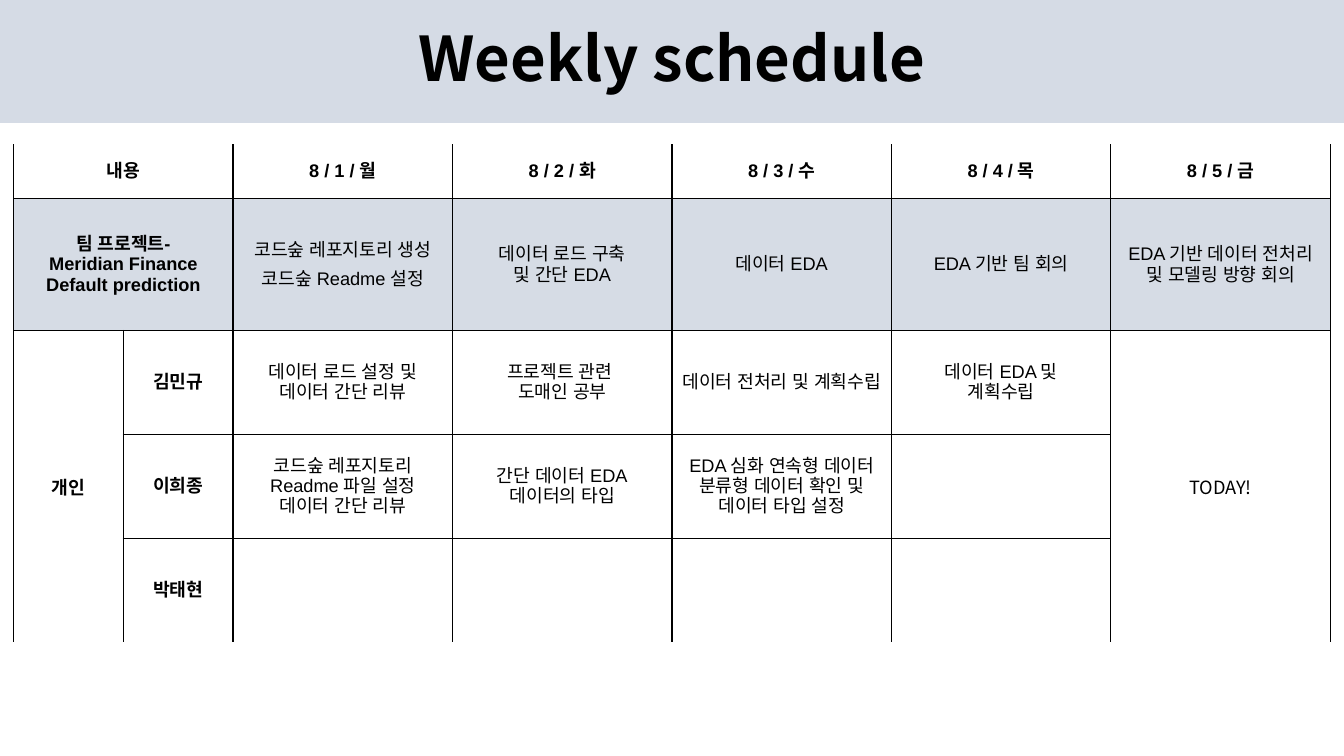
"""Build a weekly schedule slide with a title band and a task table."""
import dataclasses
import typing

import lxml.etree
import pptx
import pptx.dml.color
import pptx.enum.shapes
import pptx.enum.text
import pptx.oxml.ns
import pptx.util

Inches = pptx.util.Inches
RGBColor = pptx.dml.color.RGBColor
qn = pptx.oxml.ns.qn


@dataclasses.dataclass(frozen=True)
class Theme:
    latin: str = "Arial"
    korean: str = "Noto Sans CJK KR"
    ink: str = "000000"
    paper: str = "FFFFFF"
    title_band: str = "D5DBE5"
    team_band: str = "D6DCE5"
    title_size: int = 44
    body_size: int = 13
    border_width: int = 1
    second_line_gap: int = 6


THEME = Theme()


@dataclasses.dataclass(frozen=True)
class Entry:
    row: int
    column: int
    paragraphs: tuple[str, ...]
    bold: bool = False
    font: str = THEME.latin
    rows: int = 1
    columns: int = 1
    gap: int = 0


SLIDE_WIDTH = 13.33
TABLE_WIDTH = 13.06
DAY_WIDTH = TABLE_WIDTH / 6
COLUMN_WIDTHS = [DAY_WIDTH / 2] * 2 + [DAY_WIDTH] * 5
ROW_HEIGHTS = [0.54, 1.31] + [1.03] * 3
TEAM_ROW = 1
DAYS = "월화수목금"
MEMBERS = ("김민규", "이희종", "박태현")

ENTRIES = [
    Entry(0, 0, ("내용",), True, columns=2),
    *(Entry(0, 2 + index, (f"8 / {index + 1} / {day}",), True) for index, day in enumerate(DAYS)),
    Entry(1, 0, ("팀 프로젝트-", "Meridian Finance\vDefault prediction"), True, columns=2),
    Entry(1, 2, ("코드숲 레포지토리 생성", "코드숲 Readme 설정"), gap=THEME.second_line_gap),
    Entry(1, 3, ("데이터 로드 구축", "및 간단 EDA")),
    Entry(1, 4, ("데이터 EDA",)),
    Entry(1, 5, ("EDA 기반 팀 회의",)),
    Entry(1, 6, ("EDA 기반 데이터 전처리\v및 모델링 방향 회의",)),
    Entry(2, 0, ("개인",), True, THEME.korean, rows=3),
    *(Entry(2 + index, 1, (member,), True) for index, member in enumerate(MEMBERS)),
    Entry(2, 2, ("데이터 로드 설정 및", "데이터 간단 리뷰")),
    Entry(2, 3, ("프로젝트 관련 ", "도매인 공부")),
    Entry(2, 4, ("데이터 전처리 및 계획수립",)),
    Entry(2, 5, ("데이터 EDA 및", "계획수립")),
    Entry(2, 6, ("TODAY!",), font=THEME.korean, rows=3),
    Entry(3, 2, ("코드숲 레포지토리\vReadme 파일 설정\v데이터 간단 리뷰",)),
    Entry(3, 3, ("간단 데이터 EDA", "데이터의 타입")),
    Entry(3, 4, ("EDA 심화 연속형 데이터\v분류형 데이터 확인 및\v데이터 타입 설정",)),
]


def fill_solid(target: typing.Any, color: str) -> None:
    """Give a shape or cell a plain fill."""
    target.fill.solid()
    target.fill.fore_color.rgb = RGBColor.from_string(color)


def write_text(text_frame: typing.Any, paragraphs: tuple[str, ...], size: int,
               bold: bool, font: str, gap: int = 0, line_spacing: float = 1.0) -> None:
    """Write centred paragraphs in one text format."""
    text_frame.text = "\n".join(paragraphs)
    font_format = {"size": pptx.util.Pt(size), "bold": bold, "name": font}
    for index, paragraph in enumerate(text_frame.paragraphs):
        paragraph_format = {
            "alignment": pptx.enum.text.PP_ALIGN.CENTER,
            "line_spacing": line_spacing,
            "space_before": pptx.util.Pt(gap if index else 0),
        }
        for name, value in paragraph_format.items():
            setattr(paragraph, name, value)
        for run in paragraph.runs:
            for name, value in font_format.items():
                setattr(run.font, name, value)
            run.font.color.rgb = RGBColor.from_string(THEME.ink)
            east_asian = lxml.etree.SubElement(run.font._element, qn("a:ea"))
            east_asian.set("typeface", font)


def draw_title(slide: typing.Any) -> None:
    """Draw the title band across the slide."""
    band = slide.shapes.add_shape(
        pptx.enum.shapes.MSO_SHAPE.RECTANGLE, 0, 0, Inches(SLIDE_WIDTH), Inches(1.22))
    band.shadow.inherit = False
    band.line.fill.background()
    fill_solid(band, THEME.title_band)
    frame_format = {"word_wrap": True, "vertical_anchor": pptx.enum.text.MSO_ANCHOR.MIDDLE}
    for name, value in frame_format.items():
        setattr(band.text_frame, name, value)
    write_text(band.text_frame, ("Weekly schedule",), THEME.title_size, True,
               THEME.korean, line_spacing=0.9)


def draw_border(cell: typing.Any, side: str, visible: bool) -> None:
    """Draw or clear one side of a cell."""
    line = lxml.etree.SubElement(cell._tc.get_or_add_tcPr(), qn(f"a:ln{side}"))
    line.set("w", str(pptx.util.Pt(THEME.border_width)))
    if not visible:
        lxml.etree.SubElement(line, qn("a:noFill"))
        return
    fill = lxml.etree.SubElement(line, qn("a:solidFill"))
    lxml.etree.SubElement(fill, qn("a:srgbClr")).set("val", THEME.ink)


def draw_schedule(slide: typing.Any) -> None:
    """Draw the schedule table, open at its top and bottom."""
    row_count, column_count = len(ROW_HEIGHTS), len(COLUMN_WIDTHS)
    table = slide.shapes.add_table(
        row_count, column_count, Inches((SLIDE_WIDTH - TABLE_WIDTH) / 2), Inches(1.43),
        Inches(TABLE_WIDTH), Inches(sum(ROW_HEIGHTS))).table
    for name, value in {"first_row": False, "horz_banding": False}.items():
        setattr(table, name, value)
    for column, width in zip(table.columns, COLUMN_WIDTHS):
        column.width = Inches(width)
    for row, height in zip(table.rows, ROW_HEIGHTS):
        row.height = Inches(height)

    owners = {(row, column): (row, column)
              for row in range(row_count) for column in range(column_count)}
    for entry in ENTRIES:
        cell = table.cell(entry.row, entry.column)
        last = entry.row + entry.rows - 1, entry.column + entry.columns - 1
        if last != (entry.row, entry.column):
            cell.merge(table.cell(*last))
        for row in range(entry.row, last[0] + 1):
            for column in range(entry.column, last[1] + 1):
                owners[row, column] = entry.row, entry.column
        write_text(cell.text_frame, entry.paragraphs, THEME.body_size,
                   entry.bold, entry.font, entry.gap)

    for (row, column), owner in owners.items():
        cell = table.cell(row, column)
        neighbours = {"L": (row, column - 1), "R": (row, column + 1),
                      "T": (row - 1, column), "B": (row + 1, column)}
        for side, neighbour in neighbours.items():
            visible = owners.get(neighbour) != owner and 0 <= neighbour[0] < row_count
            draw_border(cell, side, visible)
        if not cell.is_spanned:
            fill_solid(cell, THEME.team_band if row == TEAM_ROW else THEME.paper)
            cell.vertical_anchor = pptx.enum.text.MSO_ANCHOR.MIDDLE


def main() -> None:
    """Build and save the presentation."""
    presentation = pptx.Presentation()
    for name, value in {"slide_width": SLIDE_WIDTH, "slide_height": 7.5}.items():
        setattr(presentation, name, Inches(value))
    slide = presentation.slides.add_slide(presentation.slide_layouts[6])
    draw_title(slide)
    draw_schedule(slide)
    presentation.save("out.pptx")


if __name__ == "__main__":
    main()
